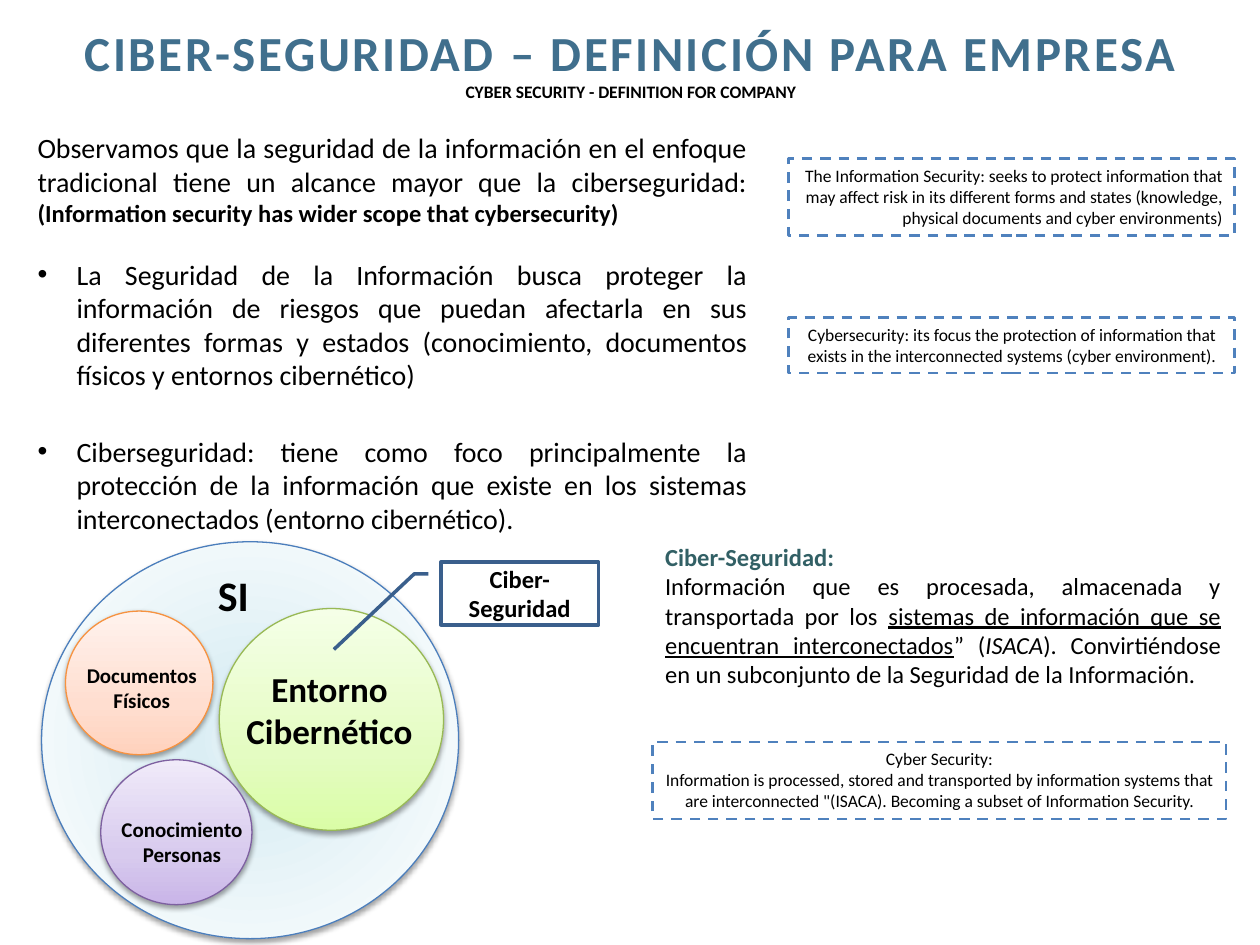
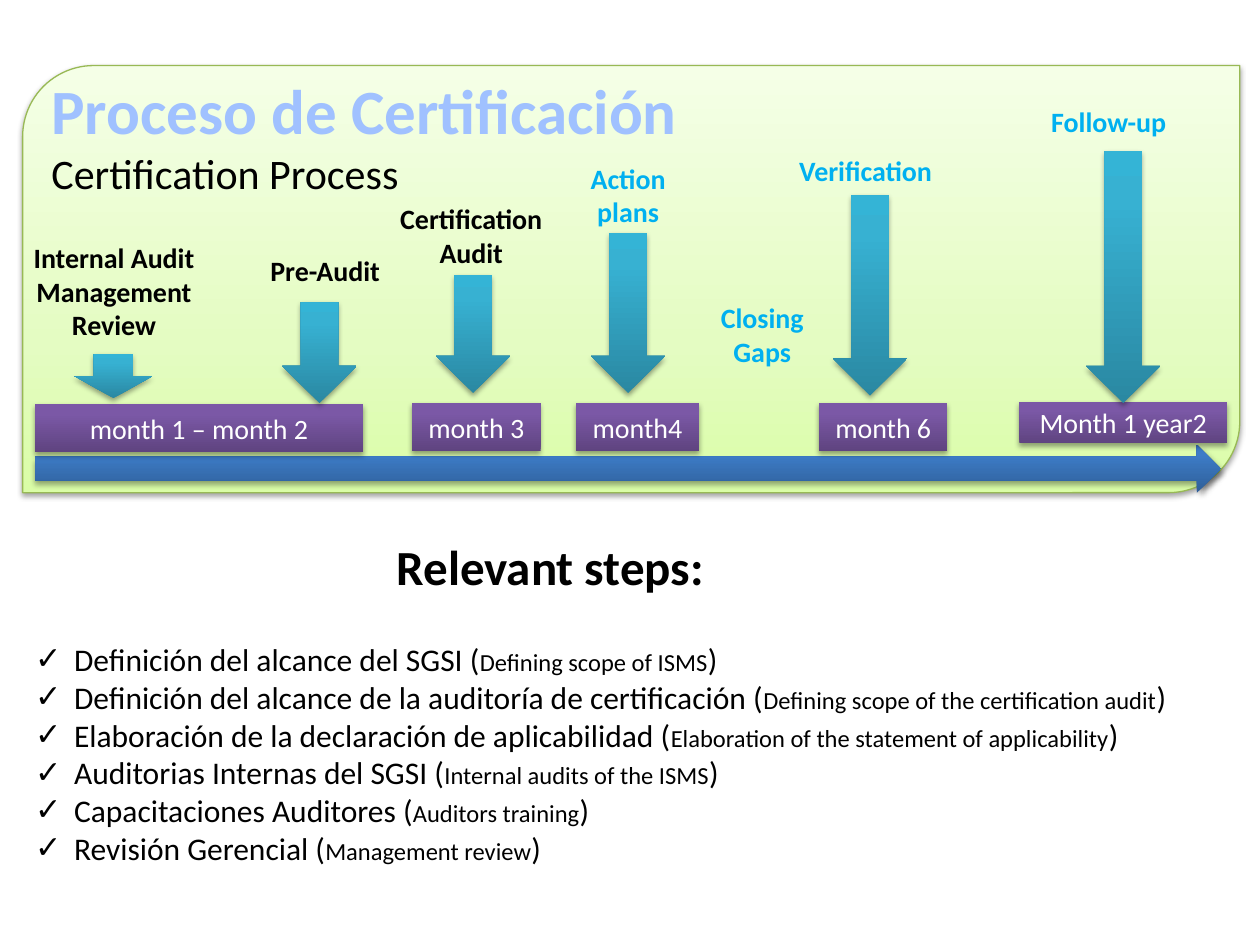
from lxml import etree
from pptx import Presentation
from pptx.dml.color import RGBColor
from pptx.enum import dml, shapes, text
from pptx.oxml.ns import qn
from pptx.util import Inches, Pt

FONT = "Calibri"
BLACK = RGBColor(0x00, 0x00, 0x00)
WHITE = RGBColor(0xFF, 0xFF, 0xFF)
TITLE_BLUE = RGBColor(0x40, 0x6F, 0x8D)
HEADING_BLUE = RGBColor(0xA0, 0xC1, 0xFF)
TEAL = RGBColor(0x32, 0x60, 0x65)
CYAN = RGBColor(0x00, 0xB0, 0xF0)
DASH_BLUE = RGBColor(0x4F, 0x81, 0xBD)
CALLOUT_BLUE = RGBColor(0x3A, 0x5F, 0x8C)
CIRCLE_BLUE = RGBColor(0x4B, 0x7E, 0xBC)
GREEN = RGBColor(0x98, 0xB9, 0x55)
PURPLE = RGBColor(0x7D, 0x60, 0xA0)
ORANGE = RGBColor(0xF6, 0x92, 0x40)

# Gradients: (position in percent, colour), running upwards unless radial
BLUE_GLOW = [(0, "EBF6F9"), (18, "DBEEF4"), (100, "FFFFFF")]
GREEN_FADE = [(0, "DAFDA7"), (35, "E4FCC2"), (100, "F5FFE7")]
PURPLE_FADE = [(0, "C9B5E8"), (35, "D8CBEE"), (100, "F0EAF9")]
ORANGE_FADE = [(0, "FFD2BD"), (35, "FFDED0"), (100, "FFF2ED")]
BLUE_BAR = [(0, "2F5F99"), (80, "3D7CC7"), (100, "3A7CCB")]
PURPLE_BAR = [(0, "5F4480"), (80, "7B58A6"), (100, "7C57A8")]
TEAL_BAR = [(0, "2A88A2"), (80, "37B1D2"), (100, "34B4D6")]

SHAPE = shapes.MSO_SHAPE
LEFT, CENTER = text.PP_ALIGN.LEFT, text.PP_ALIGN.CENTER
RIGHT, JUSTIFY = text.PP_ALIGN.RIGHT, text.PP_ALIGN.JUSTIFY
MIDDLE = text.MSO_ANCHOR.MIDDLE


def child(parent, tag, **attributes):
    return etree.SubElement(parent, qn(tag), {k: str(v) for k, v in attributes.items()})


def add_bullet(paragraph, mark):
    properties = paragraph._p.get_or_add_pPr()
    properties.set("marL", str(Inches(0.31)))
    properties.set("indent", str(-Inches(0.31)))
    child(properties, "a:buFont", typeface="Arial")
    child(properties, "a:buChar", char=mark)


def write(frame, paragraphs, size=16, color=BLACK, bold=False, align=LEFT,
          bullet=None, anchor=text.MSO_ANCHOR.TOP, wrap=True):
    """Fill a frame; a paragraph is a list of runs, a run is (words, own format).

    The first run's format may also hold bullet and gap for its paragraph.
    """
    frame.word_wrap = wrap
    frame.vertical_anchor = anchor
    for index, runs in enumerate(paragraphs):
        paragraph = frame.paragraphs[0] if index == 0 else frame.add_paragraph()
        runs = [(runs, {})] if isinstance(runs, str) else runs
        layout = runs[0][1]
        paragraph.alignment = align
        mark = layout.get("bullet", bullet)
        if mark:
            add_bullet(paragraph, mark)
        if "gap" in layout:
            paragraph.space_before = Pt(layout["gap"])
        for words, own in runs:
            run = paragraph.add_run()
            run.text = words
            font = run.font
            font.name = FONT
            font.size = Pt(own.get("size", size))
            font.bold = own.get("bold", bold)
            font.italic = own.get("italic", False)
            font.underline = own.get("underline", False)
            font.color.rgb = own.get("color", color)
            if "spacing" in own:
                run._r.get_or_add_rPr().set("spc", str(own["spacing"]))


class Deck:
    """Holds the presentation, its style and the slide being built."""

    def __init__(self):
        self.file = Presentation()
        self.file.slide_width, self.file.slide_height = Inches(10), Inches(7.5)
        self.slide = None

    def new_slide(self):
        self.slide = self.file.slides.add_slide(self.file.slide_layouts[6])

    def label(self, place, paragraphs, **style):
        box = self.slide.shapes.add_textbox(*map(Inches, place))
        write(box.text_frame, paragraphs, **style)

    def shape(self, kind, place, fill=None, line=None, width=0.75):
        item = self.slide.shapes.add_shape(kind, *map(Inches, place))
        item.shadow.inherit = False
        if fill:
            item.fill.solid()
            item.fill.fore_color.rgb = fill
        else:
            item.fill.background()
        if line:
            item.line.color.rgb = line
            item.line.width = Pt(width)
        else:
            item.line.fill.background()
        return item

    def glossy(self, kind, place, stops, line=None, radial=False):
        """A gradient shape with a soft shadow below it."""
        item = self.shape(kind, place, line=line)
        item.fill.gradient()
        properties = item._element.spPr
        gradient = properties.find(qn("a:gradFill"))
        gradient.clear()
        stop_list = child(gradient, "a:gsLst")
        for position, color in stops:
            stop = child(stop_list, "a:gs", pos=position * 1000)
            child(stop, "a:srgbClr", val=color)
        if radial:
            path = child(gradient, "a:path", path="circle")
            child(path, "a:fillToRect", l=50000, t=50000, r=50000, b=50000)
        else:
            child(gradient, "a:lin", ang=270 * 60000, scaled=0)
        shadow = child(properties.find(qn("a:effectLst")), "a:outerShdw",
                       blurRad=Pt(3.1), dist=Pt(1.7), dir=90 * 60000, rotWithShape=0)
        child(child(shadow, "a:srgbClr", val="000000"), "a:alpha", val=37000)
        return item

    def translation(self, place, paragraphs, align=CENTER):
        """A dashed box with the English version of a text."""
        box = self.shape(SHAPE.RECTANGLE, place, line=DASH_BLUE, width=1.5)
        box.line.dash_style = dml.MSO_LINE.DASH
        write(box.text_frame, paragraphs, size=10, align=align)

    def month(self, place, name):
        bar = self.glossy(SHAPE.RECTANGLE, place, PURPLE_BAR)
        write(bar.text_frame, [name], color=WHITE, align=CENTER, anchor=MIDDLE)


def build_definition(deck):
    deck.new_slide()
    deck.label((0.28, 0.13, 9.45, 0.89), [
        [("CIBER-SEGURIDAD – DEFINICIÓN PARA EMPRESA",
          dict(size=28, color=TITLE_BLUE, spacing=150))],
        "CYBER SECURITY - DEFINITION FOR COMPANY",
    ], size=10, bold=True, align=CENTER)
    deck.label((0.2, 0.99, 5.83, 3.6), [
        [("Observamos que la seguridad de la información en el enfoque tradicional "
          "tiene un alcance mayor que la ciberseguridad: ", {}),
         ("(Information security has wider scope that cybersecurity)",
          dict(size=14, bold=True))],
        [("La Seguridad de la Información busca proteger la información de riesgos "
          "que puedan afectarla en sus diferentes formas y estados (conocimiento, "
          "documentos físicos y entornos cibernético)", dict(bullet="•", gap=17))],
        [("Ciberseguridad: tiene como foco principalmente la protección de la "
          "información que existe en los sistemas interconectados (entorno "
          "cibernético).", dict(bullet="•", gap=24.4))],
    ], align=JUSTIFY)

    for place, stops, outline, radial in [
        ((0.33, 4.3, 3.31, 3.15), BLUE_GLOW, CIRCLE_BLUE, True),
        ((1.74, 4.83, 1.78, 1.76), GREEN_FADE, GREEN, False),
        ((0.8, 6.03, 1.2, 1.15), PURPLE_FADE, PURPLE, False),
        ((0.52, 4.85, 1.17, 1.14), ORANGE_FADE, ORANGE, False),
    ]:
        deck.glossy(SHAPE.OVAL, place, stops, outline, radial)
    for place, name, size in [
        ((0.43, 5.21, 1.39, 0.5), "Documentos Físicos", 12),
        ((1.82, 5.25, 1.59, 0.77), "Entorno Cibernético", 20),
        ((0.81, 6.43, 1.27, 0.5), "Conocimiento Personas", 12),
    ]:
        deck.label(place, [name], size=size, bold=True, align=CENTER)
    deck.label((1.63, 4.47, 0.45, 0.5), ["SI"], size=24, bold=True, wrap=False)

    callout = deck.shape(SHAPE.LINE_CALLOUT_2, (3.5, 4.46, 1.25, 0.5),
                         line=CALLOUT_BLUE, width=2)
    for index, value in enumerate([0.19, -0.08, 0.19, -0.17, 1.39, -0.68]):
        callout.adjustments[index] = value
    write(callout.text_frame, ["Ciber-Seguridad"], size=14, bold=True,
          align=CENTER, anchor=MIDDLE)

    definition = deck.shape(SHAPE.RECTANGLE, (5.18, 4.25, 4.61, 1.28), fill=WHITE)
    write(definition.text_frame, [
        [("Ciber-Seguridad:", dict(color=TEAL, bold=True))],
        [("Información que es procesada, almacenada y transportada por los ", {}),
         ("sistemas de información que se encuentran interconectados",
          dict(underline=True)),
         ("” (", {}),
         ("ISACA", dict(italic=True)),
         ("). Convirtiéndose en un subconjunto de la Seguridad de la Información.", {})],
    ], size=14, align=JUSTIFY)

    deck.translation((6.26, 1.26, 3.54, 0.61), [
        "The Information Security: seeks to protect information that may affect risk "
        "in its different forms and states (knowledge, physical documents and cyber "
        "environments)"], align=RIGHT)
    deck.translation((6.26, 2.52, 3.54, 0.44), [
        "Cybersecurity: its focus the protection of information that exists in the "
        "interconnected systems (cyber environment)."])
    deck.translation((5.18, 5.89, 4.55, 0.61), [
        "Cyber Security:",
        "Information is processed, stored and transported by information systems that "
        "are interconnected \"(ISACA). Becoming a subset of Information Security."])


def build_certification(deck):
    deck.new_slide()
    deck.glossy(SHAPE.ROUND_2_DIAG_RECTANGLE, (0.18, 0.52, 9.66, 3.39),
                GREEN_FADE, GREEN)
    deck.glossy(SHAPE.RIGHT_ARROW, (0.28, 3.53, 9.41, 0.38), BLUE_BAR)

    for place, name in [
        ((8.09, 3.19, 1.65, 0.33), "Month 1 year2"),
        ((6.5, 3.2, 1.02, 0.38), "month 6"),
        ((4.57, 3.2, 0.98, 0.38), "month4"),
        ((3.27, 3.2, 1.02, 0.38), "month 3"),
        ((0.28, 3.21, 2.6, 0.38), "month 1 – month 2"),
    ]:
        deck.month(place, name)
    for left, top, width, height in [
        (0.59, 2.81, 0.62, 0.35), (2.24, 2.4, 0.59, 0.8), (3.46, 2.18, 0.59, 0.94),
        (4.69, 1.85, 0.59, 1.27), (6.61, 1.55, 0.59, 1.59), (8.62, 1.2, 0.59, 2),
    ]:
        deck.glossy(SHAPE.DOWN_ARROW, (left, top, width, height), TEAL_BAR)
    for place, stage, color in [
        ((0.04, 1.86, 1.73, 0.91), ["Internal Audit", "Management Review"], BLACK),
        ((1.89, 1.96, 1.38, 0.37), ["Pre-Audit"], BLACK),
        ((2.99, 1.55, 1.5, 0.64), ["Certification", "Audit"], BLACK),
        ((4.53, 1.23, 0.91, 0.64), ["Action plans"], CYAN),
        ((5.43, 2.34, 1.24, 0.64), ["Closing Gaps"], CYAN),
        ((6.18, 1.17, 1.38, 0.37), ["Verification"], CYAN),
        ((8.02, 0.78, 1.56, 0.37), ["Follow-up"], CYAN),
    ]:
        deck.label(place, stage, color=color, bold=True, align=CENTER)

    deck.label((0.31, 0.52, 6.73, 0.87), [
        [("Proceso de Certificación", dict(size=36, color=HEADING_BLUE, bold=True))],
        "Certification Process",
    ], size=24)
    deck.label((3.05, 4.21, 3.24, 0.57), ["Relevant steps:"], size=28, bold=True)
    steps = [
        ("Definición del alcance del SGSI", "Defining scope of ISMS"),
        ("Definición del alcance de la auditoría de certificación",
         "Defining scope of the certification audit"),
        ("Elaboración de la declaración de aplicabilidad",
         "Elaboration of the statement of applicability"),
        ("Auditorias Internas del SGSI", "Internal audits of the ISMS"),
        ("Capacitaciones Auditores", "Auditors training"),
        ("Revisión Gerencial", "Management review"),
    ]
    deck.label((0.18, 5.03, 9.56, 1.92), [
        [(f"{spanish} (", {}), (english, dict(size=14)), (")", {})]
        for spanish, english in steps
    ], size=18, bullet="✓")


def main():
    deck = Deck()
    build_definition(deck)
    build_certification(deck)
    deck.file.save("out.pptx")


if __name__ == "__main__":
    main()
